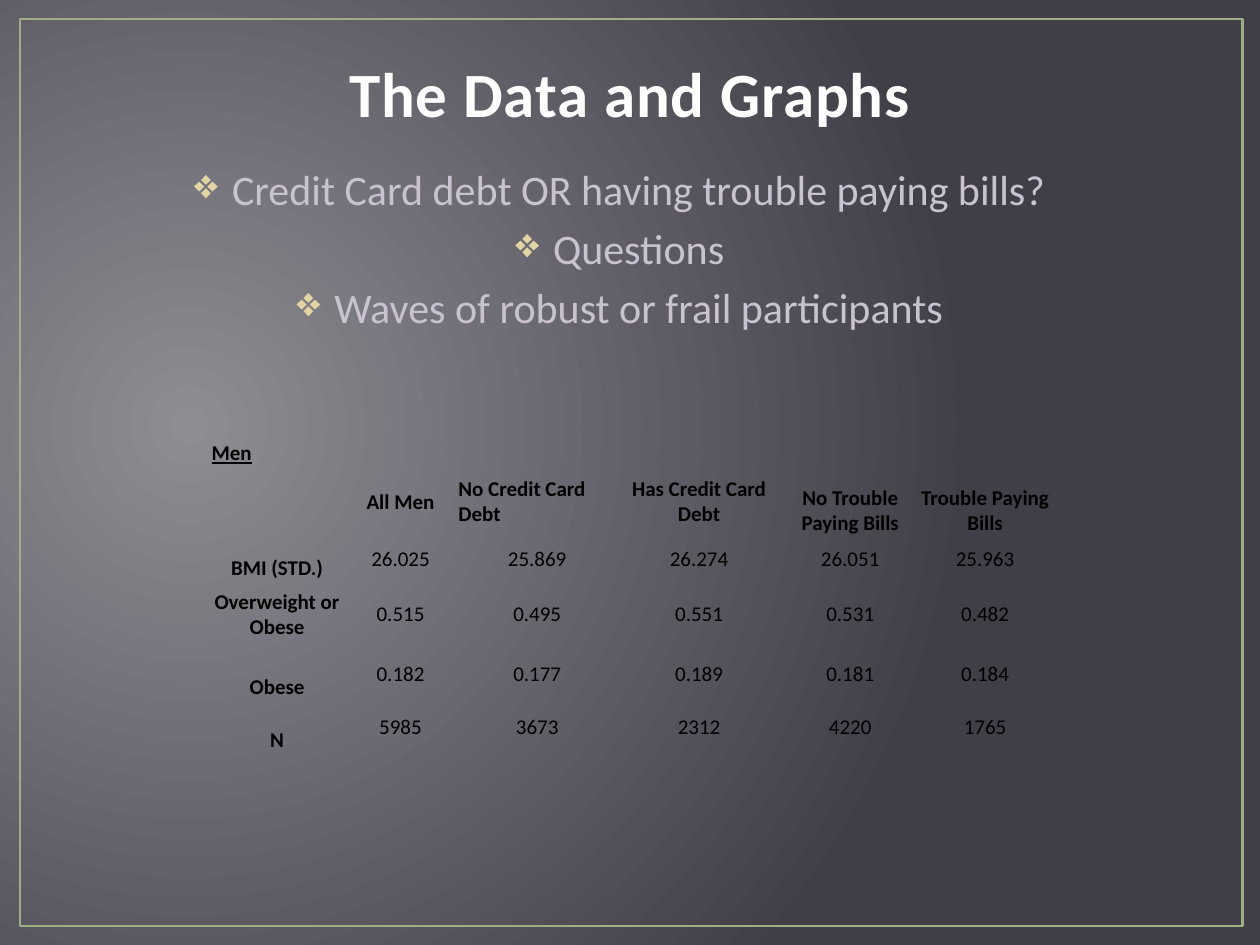
from dataclasses import dataclass

from pptx import Presentation
from pptx import util as u
from pptx.dml import color
from pptx.enum import shapes, text
from pptx.oxml import ns
from lxml import etree

Pt = u.Pt
CENTER, LEFT = text.PP_ALIGN.CENTER, text.PP_ALIGN.LEFT
MIDDLE, BOTTOM = text.MSO_ANCHOR.MIDDLE, text.MSO_ANCHOR.BOTTOM


@dataclass(frozen=True)
class Theme:
    font: str = "Calibri"
    glow: str = "8F8D94"
    dusk: str = "423E48"
    frame: str = "9CB084"
    title: str = "FEFEFE"
    body: str = "C9C2D1"
    bullet: str = "E2D5A3"
    table: str = "000000"
    title_size: float = 36
    body_size: float = 24
    table_size: float = 12


THEME = Theme()
NO_STYLE = "{2D5ABB26-0587-4C30-8999-92F81FD0307C}"
TOPICS = [
    "Credit Card debt OR having trouble paying bills?",
    "Questions",
    "Waves of robust or frail participants",
]
HEADERS = ["", "All Men", "No Credit Card Debt", "Has Credit Card Debt",
           "No Trouble Paying Bills", "Trouble Paying Bills"]
MEASURES = [
    ["BMI (STD.)", "26.025", "25.869", "26.274", "26.051", "25.963"],
    ["Overweight or Obese", "0.515", "0.495", "0.551", "0.531", "0.482"],
    ["Obese", "0.182", "0.177", "0.189", "0.181", "0.184"],
    ["N", "5985", "3673", "2312", "4220", "1765"],
]
COLUMN_WIDTHS = [76.3, 64.8, 91.4, 93.6, 79.2, 74.9]
ROW_HEIGHTS = [20.2, 40.3, 25.2, 38.2, 30.2, 30.2]


def assign(target, **values):
    for name, value in values.items():
        setattr(target, name, value)


def rgb(value):
    return color.RGBColor.from_string(value)


def child(parent, tag, **attributes):
    return etree.SubElement(parent, ns.qn(tag), attributes)


def style_font(font, size, ink, **values):
    assign(font, name=THEME.font, size=Pt(size), **values)
    font.color.rgb = rgb(ink)


def paint_background(slide):
    fill = slide.background.fill
    fill.gradient()
    for stop, shade, position in zip(fill.gradient_stops, (THEME.glow, THEME.dusk), (0, 1)):
        stop.color.rgb = rgb(shade)
        stop.position = position
    gradient = next(slide.element.iter(ns.qn("a:gradFill")))
    gradient.remove(gradient.find(ns.qn("a:lin")))
    circle = child(gradient, "a:path", path="circle")
    child(circle, "a:fillToRect", l="15000", t="50000", r="85000", b="60000")


def add_frame(slide, box):
    frame = slide.shapes.add_shape(shapes.MSO_SHAPE.RECTANGLE, *map(Pt, box))
    frame.shadow.inherit = False
    frame.fill.background()
    frame.line.color.rgb = rgb(THEME.frame)
    frame.line.width = Pt(1.5)


def add_title(slide, box, wording):
    title = slide.shapes.title
    assign(title, **dict(zip(("left", "top", "width", "height"), map(Pt, box))))
    assign(title.text_frame, vertical_anchor=BOTTOM, word_wrap=True)
    heading = title.text_frame.paragraphs[0]
    heading.alignment = CENTER
    run = heading.add_run()
    run.text = wording
    style_font(run.font, THEME.title_size, THEME.title, bold=True)
    run.font._element.set("spc", "50")


def add_topics(slide, box, topics):
    frame = slide.shapes.add_textbox(*map(Pt, box)).text_frame
    frame.word_wrap = True
    for index, topic in enumerate(topics):
        paragraph = frame.add_paragraph() if index else frame.paragraphs[0]
        paragraph.alignment = CENTER
        if index:
            paragraph.space_before = Pt(4.8)
        properties = paragraph._p.get_or_add_pPr()
        properties.set("marL", str(Pt(21.6)))
        properties.set("indent", str(-Pt(21.6)))
        child(child(properties, "a:buClr"), "a:srgbClr", val=THEME.bullet)
        child(properties, "a:buChar", char="❖")
        run = paragraph.add_run()
        run.text = topic
        style_font(run.font, THEME.body_size, THEME.body)


def fill_cell(cell, wording, anchor, alignment, **emphasis):
    cell.fill.background()
    assign(cell, vertical_anchor=anchor, margin_left=Pt(0.7), margin_right=Pt(0.7),
           margin_top=Pt(0.7), margin_bottom=Pt(0))
    paragraph = cell.text_frame.paragraphs[0]
    paragraph.alignment = alignment
    if wording:
        run = paragraph.add_run()
        run.text = wording
        style_font(run.font, THEME.table_size, THEME.table, **emphasis)
    else:
        child(paragraph._p, "a:endParaRPr", sz=str(int(THEME.table_size * 100)))


def add_debt_table(slide, left, top, group):
    rows = [[group] + [""] * (len(HEADERS) - 1), HEADERS] + MEASURES
    holder = slide.shapes.add_table(len(rows), len(HEADERS), Pt(left), Pt(top),
                                    Pt(sum(COLUMN_WIDTHS)), Pt(sum(ROW_HEIGHTS)))
    table = holder.table
    assign(table, first_row=False, horz_banding=False)
    next(holder.element.iter(ns.qn("a:tableStyleId"))).text = NO_STYLE
    for column, width in zip(table.columns, COLUMN_WIDTHS):
        column.width = Pt(width)
    for row, height in zip(table.rows, ROW_HEIGHTS):
        row.height = Pt(height)
    left_aligned = {group, "No Credit Card Debt"}
    low_headers = set(HEADERS[-2:])
    for r, values in enumerate(rows):
        for c, wording in enumerate(values):
            low = wording in low_headers or (c == 0 and wording != "Overweight or Obese")
            fill_cell(table.cell(r, c), wording, BOTTOM if low else MIDDLE,
                      LEFT if wording in left_aligned else CENTER,
                      bold=r < 2 or c == 0, underline=wording == group)


def main():
    deck = Presentation()
    assign(deck, slide_width=Pt(720), slide_height=Pt(540))
    slide = deck.slides.add_slide(deck.slide_layouts[5])
    paint_background(slide)
    add_frame(slide, (11.5, 10.8, 698.4, 518.4))
    add_title(slide, (36, 21.6, 648, 56.2), "The Data and Graphs")
    add_topics(slide, (30.2, 90, 648, 392.4), TOPICS)
    add_debt_table(slide, 120.2, 246.2, "Men")
    deck.save("out.pptx")


if __name__ == "__main__":
    main()
